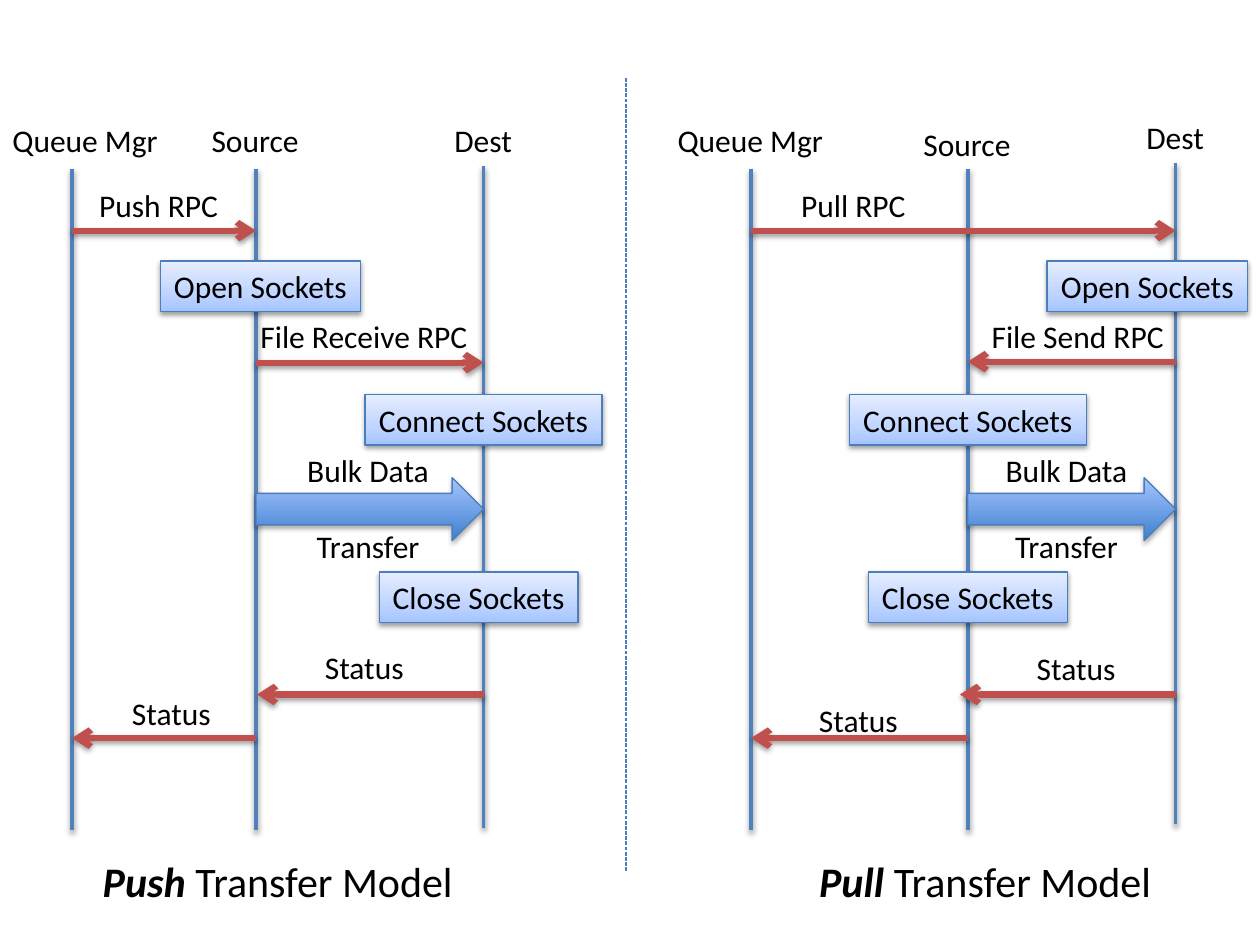
from lxml.etree import SubElement
from pptx import Presentation
from pptx.dml.color import RGBColor
from pptx.enum.dml import MSO_LINE
from pptx.enum.shapes import MSO_CONNECTOR, MSO_SHAPE
from pptx.enum.text import MSO_ANCHOR, MSO_AUTO_SIZE, PP_ALIGN
from pptx.oxml.ns import qn
from pptx.util import Cm, Pt

COLORS = {
    "text": "000000", "lifeline": "4F81BD", "message": "C0504D", "outline": "4B7EBC",
    "step_low": "A4C4FF", "step_mid": "BFD4FF", "step_high": "E6EEFF",
    "bulk_low": "3F80CE", "bulk_high": "A4C4FF",
}
STEP_STOPS = [(0, "step_low"), (35, "step_mid"), (100, "step_high")]
BULK_STOPS = [(0, "bulk_low"), (100, "bulk_high")]
TEXT_HEIGHT = 1.02
LIFELINE_LENGTH = 13.34
BULK_TOP, BULK_HEIGHT = 6.23, 1.27

# Lengths are centimetres from the top of a panel's first lifeline.
# lifelines: name, x, top, label centre, label top, label width
# messages: label, label left, label top, label width, start x, end x, y
# steps: name, centre x, top, width
PUSH = {
    "lifelines": [("Queue Mgr", 0, 0, 0.29, -1.09, 3.48),
                  ("Source", 3.71, 0, 3.71, -1.09, 2.29),
                  ("Dest", 8.3, -0.05, 8.3, -1.09, 1.68)],
    "messages": [("Push RPC", 0.3, 0.23, 2.95, 0, 3.71, 1.25),
                 ("File Receive RPC", 3.55, 2.87, 4.75, 3.71, 8.3, 3.91),
                 ("Status", 4.85, 9.53, 2.11, 8.3, 3.73, 10.6),
                 ("Status", 0.96, 10.47, 2.11, 3.71, 0, 11.48)],
    "steps": [("Open Sockets", 3.8, 1.86, 4.04),
              ("Connect Sockets", 8.3, 4.55, 4.78),
              ("Close Sockets", 8.2, 8.13, 4.01)],
    "bulk": (3.71, 8.3, 5.97),
    "caption": ("Push", 4.15, 8.31),
}
PULL = {
    "lifelines": [("Queue Mgr", 0, 0, 0.01, -1.09, 3.48),
                  ("Source", 4.37, 0, 4.37, -1.01, 2.29),
                  ("Dest", 8.56, -0.12, 8.56, -1.14, 1.68)],
    "messages": [("Pull RPC", 0.76, 0.23, 2.95, 0, 8.56, 1.25),
                 ("File Send RPC", 4.6, 2.87, 4.13, 8.56, 4.37, 3.89),
                 ("Status", 5.51, 9.55, 2.11, 8.56, 4.21, 10.6),
                 ("Status", 1.12, 10.6, 2.11, 4.37, 0, 11.48)],
    "steps": [("Open Sockets", 7.99, 1.86, 4.04),
              ("Connect Sockets", 4.37, 4.55, 4.78),
              ("Close Sockets", 4.37, 8.13, 4.01)],
    "bulk": (4.37, 8.56, 6.36),
    "caption": ("Pull", 4.72, 7.32),
}


def rgb(name):
    return RGBColor.from_string(COLORS[name])


def add_shadow(shape, opacity=38, distance=1.6):
    """Cast a soft shadow straight down; opacity 0 means none."""
    effects = SubElement(shape._element.spPr, qn("a:effectLst"))
    if opacity:
        shadow = SubElement(effects, qn("a:outerShdw"), blurRad=str(Pt(3.1)),
                            dist=str(Pt(distance)), dir="5400000", rotWithShape="0")
        color = SubElement(shadow, qn("a:srgbClr"), val=COLORS["text"])
        SubElement(color, qn("a:alpha"), val=str(opacity * 1000))


def fill_gradient(shape, stops):
    shape.fill.gradient()
    shape.fill.gradient_angle = 90
    stop_list = shape._element.spPr.find(".//" + qn("a:gsLst"))
    stop_list.clear()
    for position, name in stops:
        stop = SubElement(stop_list, qn("a:gs"), pos=str(position * 1000))
        SubElement(stop, qn("a:srgbClr"), val=COLORS[name])


def write_text(shape, paragraphs, size=18, align=PP_ALIGN.LEFT, gap=0, anchor=MSO_ANCHOR.TOP):
    """Each paragraph is a list of (text, emphasised) runs."""
    frame = shape.text_frame
    frame.word_wrap = False
    frame.auto_size = MSO_AUTO_SIZE.SHAPE_TO_FIT_TEXT
    frame.vertical_anchor = anchor
    for index, runs in enumerate(paragraphs):
        paragraph = frame.add_paragraph() if index else frame.paragraphs[0]
        paragraph.alignment = align
        if index:
            paragraph.space_before = Pt(gap)
        for text, emphasised in runs:
            run = paragraph.add_run()
            run.text = text
            run.font.name = "Calibri"
            run.font.size = Pt(size)
            run.font.bold = run.font.italic = emphasised
            run.font.color.rgb = rgb("text")


def add_label(slide, left, top, width, paragraphs, height=TEXT_HEIGHT, **text_format):
    box = slide.shapes.add_textbox(Cm(left), Cm(top), Cm(width), Cm(height))
    write_text(box, paragraphs, **text_format)


def add_line(slide, start, end, color, width, arrow=False, dashed=False, shadow=True):
    line = slide.shapes.add_connector(MSO_CONNECTOR.STRAIGHT, *map(Cm, start + end))
    line.line.color.rgb = rgb(color)
    line.line.width = Pt(width)
    if dashed:
        line.line.dash_style = MSO_LINE.SQUARE_DOT
    if arrow:
        SubElement(line.line._get_or_add_ln(), qn("a:tailEnd"), type="arrow")
    add_shadow(line, opacity=38 if shadow else 0)


def add_block(slide, kind, left, top, width, height, stops, **shadow):
    block = slide.shapes.add_shape(kind, Cm(left), Cm(top), Cm(width), Cm(height))
    fill_gradient(block, stops)
    block.line.color.rgb = rgb("outline")
    block.line.width = Pt(0.75)
    add_shadow(block, **shadow)
    return block


def add_bulk_transfer(slide, left, top, right, label_centre):
    add_block(slide, MSO_SHAPE.RIGHT_ARROW, left, top, right - left, BULK_HEIGHT,
              BULK_STOPS, opacity=35, distance=1.8)
    add_label(slide, label_centre - 1.5, top - 0.66, 3,
              [[("Bulk Data", False)], [("Transfer", False)]],
              height=2.57, align=PP_ALIGN.CENTER, gap=22)


def add_sequence_panel(slide, left, top, model):
    for name, x, line_top, centre, label_top, width in model["lifelines"]:
        start = (left + x, top + line_top)
        add_line(slide, start, (start[0], start[1] + LIFELINE_LENGTH), "lifeline", 2)
        add_label(slide, left + centre - width / 2, top + label_top, width, [[(name, False)]])
    for label, label_left, label_top, width, start, end, y in model["messages"]:
        add_line(slide, (left + start, top + y), (left + end, top + y),
                 "message", 3.5, arrow=True)
        add_label(slide, left + label_left, top + label_top, width, [[(label, False)]])
    for name, centre, step_top, width in model["steps"]:
        step = add_block(slide, MSO_SHAPE.RECTANGLE, left + centre - width / 2,
                         top + step_top, width, TEXT_HEIGHT, STEP_STOPS)
        write_text(step, [[(name, False)]], align=PP_ALIGN.CENTER, anchor=MSO_ANCHOR.MIDDLE)
    start, end, label_centre = model["bulk"]
    add_bulk_transfer(slide, left + start, top + BULK_TOP, left + end, left + label_centre)
    word, centre, width = model["caption"]
    add_label(slide, left + centre - width / 2, top + 13.72, width,
              [[(word, True), (" Transfer Model", False)]],
              height=1.28, size=24, align=PP_ALIGN.CENTER)


def main():
    presentation = Presentation()
    presentation.slide_width, presentation.slide_height = Cm(25.4), Cm(19.05)
    slide = presentation.slides.add_slide(presentation.slide_layouts[6])
    add_sequence_panel(slide, 1.45, 3.4, PUSH)
    add_line(slide, (12.62, 1.57), (12.62, 17.58), "outline", 0.75, dashed=True, shadow=False)
    add_sequence_panel(slide, 15.14, 3.4, PULL)
    presentation.save("out.pptx")


if __name__ == "__main__":
    main()
